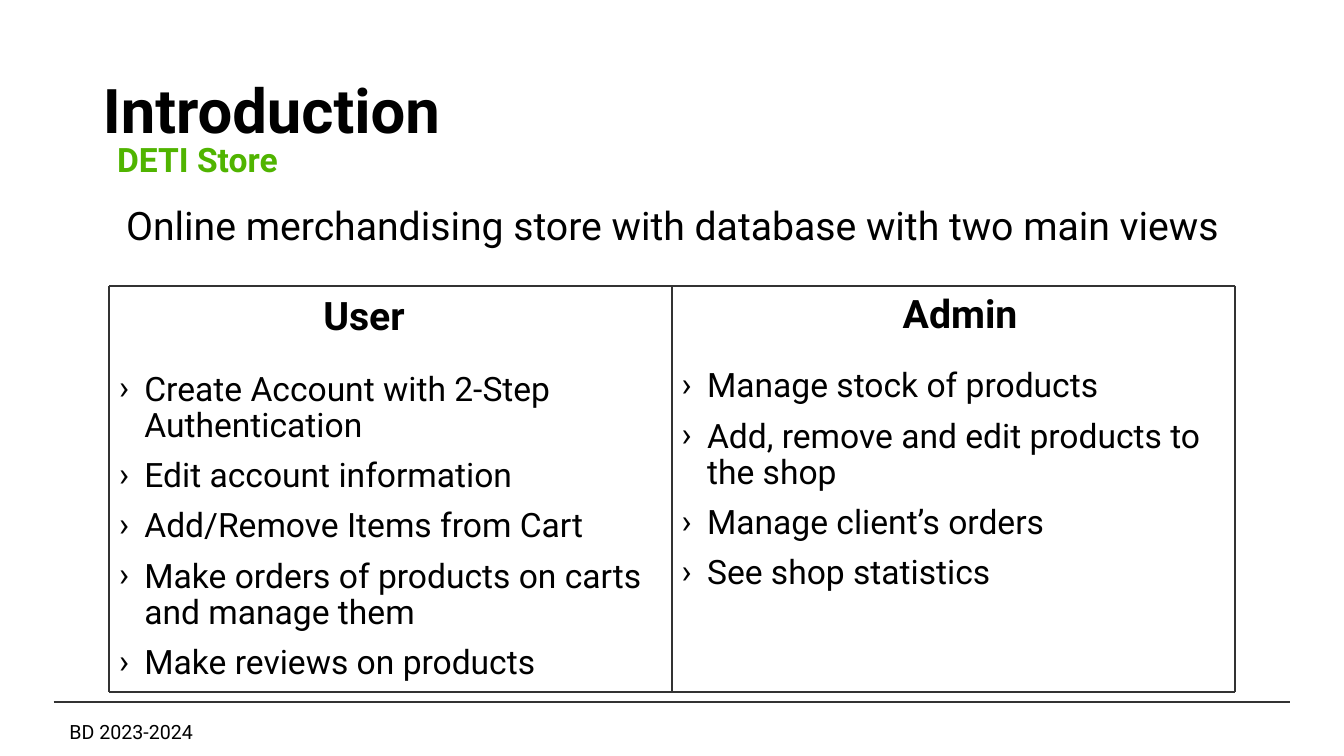
import itertools
from dataclasses import dataclass

import lxml.etree
import pptx
import pptx.dml.color
import pptx.enum.shapes
import pptx.enum.text
import pptx.oxml.ns
import pptx.util

Cm, Pt = pptx.util.Cm, pptx.util.Pt
ALIGN = pptx.enum.text.PP_ALIGN
ANCHOR = pptx.enum.text.MSO_ANCHOR
AUTO_SIZE = pptx.enum.text.MSO_AUTO_SIZE

FONT = "Roboto"
COLOURS = {"text": "000000", "accent": "50B400", "line": "333333"}

FRAME_X = (2.75, 16.93, 31.12)
FRAME_Y = (7.2, 17.44)
RULE_X = (1.35, 32.51)
RULE_Y = 17.68


@dataclass
class Label:
    text: str
    box: tuple[float, float, float, float]
    size: float
    bold: bool = False
    colour: str = "text"
    align: ALIGN = ALIGN.LEFT
    spacing: float = 1.0
    inset: bool = True
    wrap: bool = True


@dataclass
class View:
    heading: Label
    list_box: tuple[float, float, float, float]
    features: list[str]


LABELS = [
    Label("Online merchandising store with database with two main views",
          (2.34, 5.08, 29.21, 2.11), 28, align=ALIGN.CENTER, spacing=0.9),
    Label("DETI Store", (2.95, 3.51, 4.78, 2.06), 24, bold=True, colour="accent", inset=False),
    Label("BD 2023-2024", (1.5, 18.01, 7.42, 0.86), 14),
]

VIEWS = [
    View(
        Label("User", (7.9, 7.21, 2.64, 1.45), 28, bold=True, wrap=False),
        (FRAME_X[0], 9.25, 14.18, 8.18),
        [
            "Create Account with 2-Step Authentication",
            "Edit account information",
            "Add/Remove Items from Cart",
            "Make orders of products on carts and manage them",
            "Make reviews on products",
        ],
    ),
    View(
        Label("Admin", (22.5, 7.16, 3.45, 1.45), 28, bold=True, wrap=False),
        (FRAME_X[1], 9.17, 14.18, 8.18),
        [
            "Manage stock of products",
            "Add, remove and edit products to the shop",
            "Manage client’s orders",
            "See shop statistics",
        ],
    ),
]


def rgb(name: str) -> pptx.dml.color.RGBColor:
    return pptx.dml.color.RGBColor.from_string(COLOURS[name])


def add_run(p, text: str, size: float, bold: bool = False, colour: str = "text") -> None:
    r = p.add_run()
    r.text = text
    r.font.name = FONT
    r.font.size = Pt(size)
    r.font.bold = bold
    r.font.color.rgb = rgb(colour)


def add_title(s, text: str) -> None:
    sp = s.shapes.title
    sp.left, sp.top, sp.width, sp.height = Cm(2.34), Cm(1.02), Cm(29.21), Cm(3.68)
    tf = sp.text_frame
    tf.vertical_anchor = ANCHOR.MIDDLE
    p = tf.paragraphs[0]
    p.alignment = ALIGN.LEFT
    p.line_spacing = 0.9
    add_run(p, text, 44, bold=True)


def add_label(s, label: Label) -> None:
    tf = s.shapes.add_textbox(*map(Cm, label.box)).text_frame
    tf.word_wrap = label.wrap
    if not label.wrap:
        tf.auto_size = AUTO_SIZE.SHAPE_TO_FIT_TEXT
    if not label.inset:
        tf.margin_left = tf.margin_top = tf.margin_right = tf.margin_bottom = 0
    p = tf.paragraphs[0]
    p.alignment = label.align
    p.line_spacing = label.spacing
    add_run(p, label.text, label.size, label.bold, label.colour)


def add_bullet(p, indent: int) -> None:
    """Give a paragraph a hanging indent and an angle mark."""
    pPr = p._p.get_or_add_pPr()
    pPr.set("marL", str(indent))
    pPr.set("indent", str(-indent))
    font = lxml.etree.SubElement(pPr, pptx.oxml.ns.qn("a:buFont"))
    font.set("typeface", FONT)
    mark = lxml.etree.SubElement(pPr, pptx.oxml.ns.qn("a:buChar"))
    mark.set("char", "›")


def add_view(s, view: View) -> None:
    add_label(s, view.heading)
    tf = s.shapes.add_textbox(*map(Cm, view.list_box)).text_frame
    tf.word_wrap = True
    for i, feature in enumerate(view.features):
        p = tf.add_paragraph() if i else tf.paragraphs[0]
        p.line_spacing = 0.9
        p.space_before = Pt(10)
        add_bullet(p, Cm(0.64))
        add_run(p, feature, 24)


def add_line(s, x1: float, y1: float, x2: float, y2: float) -> None:
    line = s.shapes.add_connector(
        pptx.enum.shapes.MSO_CONNECTOR.STRAIGHT, Cm(x1), Cm(y1), Cm(x2), Cm(y2))
    line.line.color.rgb = rgb("line")
    line.line.width = Pt(1.5)
    lxml.etree.SubElement(line._element.spPr, pptx.oxml.ns.qn("a:effectLst"))


def add_frame(s) -> None:
    """Draw the two side-by-side cells that hold the views."""
    for x in FRAME_X:
        add_line(s, x, FRAME_Y[0], x, FRAME_Y[1])
    for y, (left, right) in itertools.product(FRAME_Y, itertools.pairwise(FRAME_X)):
        add_line(s, left, y, right, y)


def main() -> None:
    prs = pptx.Presentation()
    prs.slide_width, prs.slide_height = Cm(33.87), Cm(19.05)
    s = prs.slides.add_slide(prs.slide_layouts.get_by_name("Title Only"))
    add_title(s, "Introduction")
    for label in LABELS:
        add_label(s, label)
    add_frame(s)
    for view in VIEWS:
        add_view(s, view)
    add_line(s, RULE_X[0], RULE_Y, RULE_X[1], RULE_Y)
    prs.save("out.pptx")


if __name__ == "__main__":
    main()
